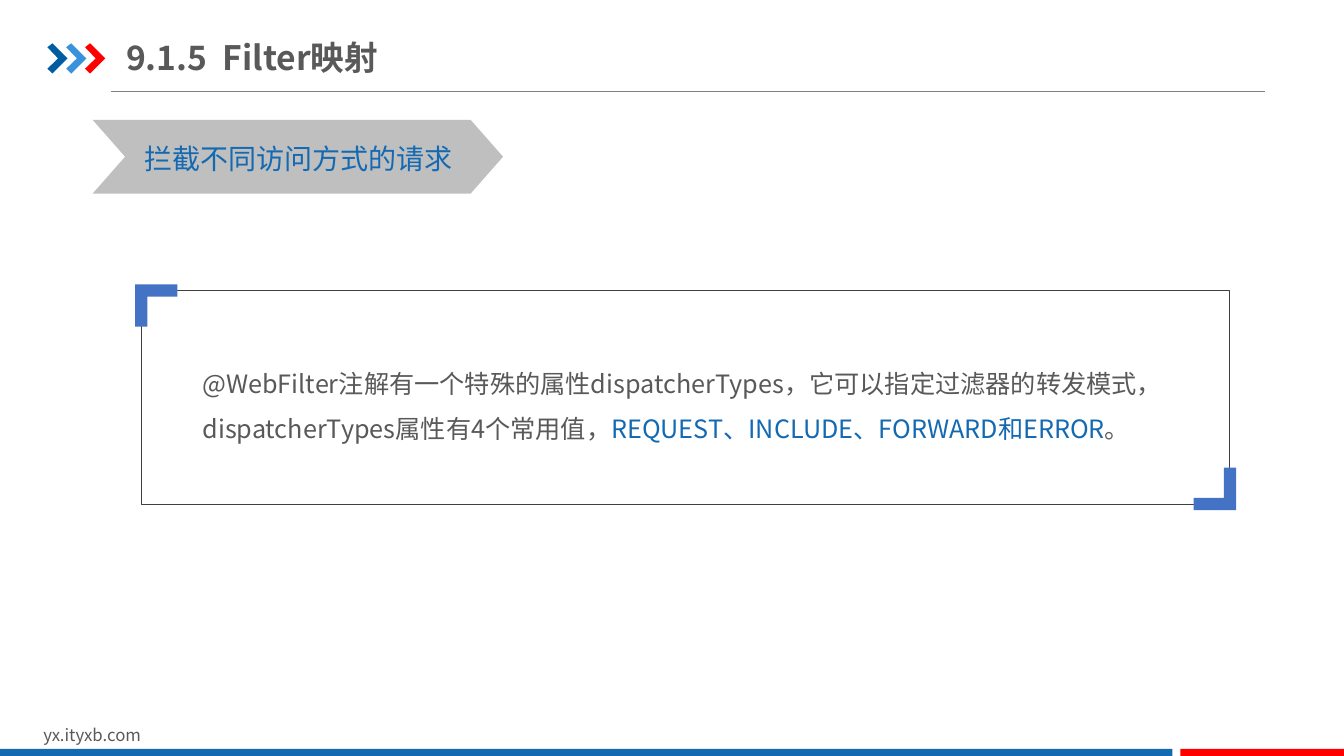
from dataclasses import dataclass

import pptx
import pptx.dml.color
import pptx.enum.shapes
import pptx.enum.text
import pptx.oxml
import pptx.oxml.ns
import pptx.util
from lxml import etree

SHAPE = pptx.enum.shapes.MSO_SHAPE
ANCHOR = pptx.enum.text.MSO_ANCHOR
WIDTH = pptx.util.Inches(13.33)
HEIGHT = pptx.util.Inches(7.5)

ARROW = [(0, 0.13), (0.25, 0), (1, 0.5), (0.25, 1), (0, 0.84), (0.53, 0.5)]
CORNER = [(0, 0), (1, 0), (1, 0.29), (0.29, 0.29), (0.29, 1), (0, 1)]


@dataclass(frozen=True)
class Theme:
    font: str = "Noto Sans CJK SC"
    text: str = "595959"
    blue: str = "1369B2"
    navy: str = "005DA2"
    sky: str = "3992DB"
    red: str = "FF0000"
    corner: str = "4472C4"
    banner: str = "BFBFBF"
    rule: str = "808080"
    frame: str = "404040"
    title_size: int = 24
    banner_size: int = 20
    body_size: int = 18
    footer_size: int = 12


THEME = Theme()


def rgb(color):
    return pptx.dml.color.RGBColor.from_string(color)


def box(left, top, width, height):
    """Turn percentages of the slide into lengths."""
    return [round(share * side / 100) for share, side in
            zip((left, top, width, height), (WIDTH, HEIGHT, WIDTH, HEIGHT))]


def paint(sp, color):
    sp.shadow.inherit = False
    sp.fill.solid()
    sp.fill.fore_color.rgb = rgb(color)
    sp.line.fill.background()


def add_block(slide, kind, area, color):
    sp = slide.shapes.add_shape(kind, *box(*area))
    paint(sp, color)
    return sp


def add_outline(slide, points, area, color, rotation=0):
    left, top, width, height = box(*area)
    corners = [(round(left + x * width), round(top + y * height)) for x, y in points]
    builder = slide.shapes.build_freeform(*corners[0])
    builder.add_line_segments(corners[1:], close=True)
    sp = builder.convert_to_shape()
    paint(sp, color)
    sp.rotation = rotation


def add_rule(slide, left, right, y):
    x1, y1, x2, y2 = box(left, y, right, y)
    line = slide.shapes.add_connector(
        pptx.enum.shapes.MSO_CONNECTOR.STRAIGHT, x1, y1, x2, y2)
    line.line.color.rgb = rgb(THEME.rule)
    line.line.width = pptx.util.Pt(0.5)
    etree.SubElement(line._element.spPr, pptx.oxml.ns.qn("a:effectLst"))


def add_frame(slide, area):
    sp = slide.shapes.add_shape(SHAPE.ROUNDED_RECTANGLE, *box(*area))
    sp.adjustments[0] = 0
    sp.shadow.inherit = False
    sp.fill.background()
    sp.line.color.rgb = rgb(THEME.frame)
    sp.line.width = pptx.util.Pt(0.25)


def format_run(r, size, color, bold=False):
    r.font.size = pptx.util.Pt(size)
    r.font.bold = bold
    r.font.color.rgb = rgb(color)
    r.font.name = THEME.font
    ea = etree.SubElement(r.font._element, pptx.oxml.ns.qn("a:ea"))
    ea.set("typeface", THEME.font)


def add_text(slide, area, pieces, size, wrap=True, spacing=None):
    tf = slide.shapes.add_textbox(*box(*area)).text_frame
    tf.word_wrap = wrap
    p = tf.paragraphs[0]
    if spacing:
        p.line_spacing = spacing
    for text, color in pieces:
        r = p.add_run()
        r.text = text
        format_run(r, size, color)


def set_title(slide, text, area):
    sp = slide.shapes.title
    sp.left, sp.top, sp.width, sp.height = box(*area)
    tf = sp.text_frame
    tf.text = text
    tf.word_wrap = True
    tf.auto_size = pptx.enum.text.MSO_AUTO_SIZE.NONE
    tf.vertical_anchor = ANCHOR.MIDDLE
    tf.margin_left = tf.margin_right = 0
    tf.margin_top = tf.margin_bottom = pptx.util.Inches(0.07)
    p = tf.paragraphs[0]
    p.alignment = pptx.enum.text.PP_ALIGN.LEFT
    format_run(p.runs[0], THEME.title_size, THEME.text, bold=True)


def add_header(slide):
    add_rule(slide, 8.25, 94.13, 12.13)
    for i, color in enumerate((THEME.navy, THEME.sky, THEME.red)):
        add_outline(slide, ARROW, (3.53 + 1.4 * i, 5.73, 1.5, 4), color)
    set_title(slide, "9.1.5  Filter映射", (9.38, 3.87, 21.3, 7.33))


def add_footer(slide):
    add_text(slide, (2.48, 95.2, 23.86, 4),
             [("yx.ityxb.com", THEME.text)], THEME.footer_size)
    for left, width, color in ((0, 87.23, THEME.blue), (87.83, 12.17, THEME.red)):
        add_block(slide, SHAPE.RECTANGLE, (left, 99.07, width, 0.93), color)


def add_banner(slide, text):
    sp = add_block(slide, SHAPE.CHEVRON, (6.9, 15.87, 30.53, 9.73), THEME.banner)
    sp.adjustments[0] = 0.44
    add_text(slide, (9.98, 18, 24.68, 5.87), [(text, THEME.blue)],
             THEME.banner_size, wrap=False)


def add_framed_text(slide, pieces):
    add_text(slide, (14.33, 46, 75.62, 13.47), pieces, THEME.body_size, spacing=1.5)
    add_frame(slide, (10.5, 38.4, 80.95, 28.27))
    for left, top, rotation in ((10.05, 37.6, 0), (88.82, 61.87, 180)):
        add_outline(slide, CORNER, (left, top, 3.15, 5.6), THEME.corner, rotation)


def main():
    prs = pptx.Presentation()
    prs.slide_width, prs.slide_height = WIDTH, HEIGHT
    slide = prs.slides.add_slide(prs.slide_layouts[5])
    add_header(slide)
    add_footer(slide)
    add_banner(slide, "拦截不同访问方式的请求")
    add_framed_text(slide, [
        ("@WebFilter注解有一个特殊的属性dispatcherTypes，它可以指定过滤器的转发模式，"
         "dispatcherTypes属性有4个常用值，", THEME.text),
        ("REQUEST、INCLUDE、FORWARD和ERROR", THEME.blue),
        ("。", THEME.text),
    ])
    prs.save("out.pptx")


if __name__ == "__main__":
    main()
